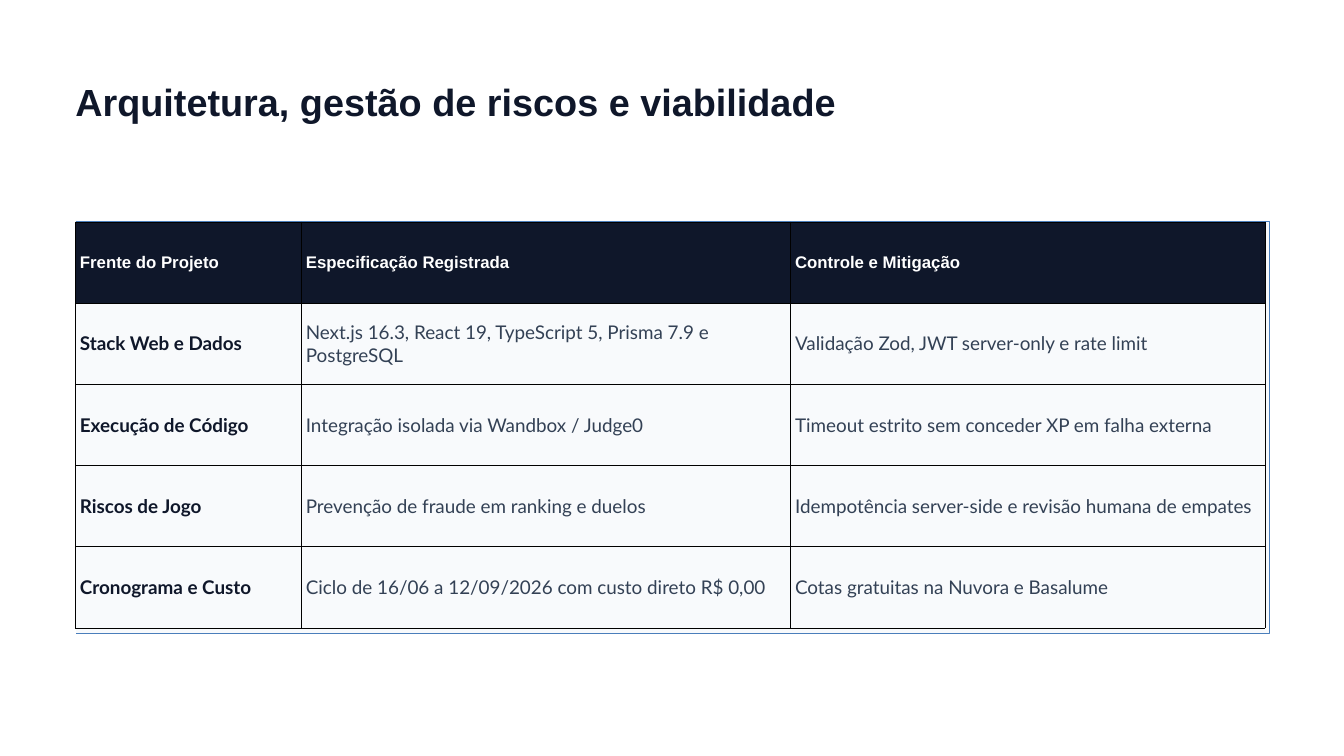
import pptx
import pptx.dml.color
import pptx.enum.text
import pptx.oxml
import pptx.oxml.ns
import pptx.util

Pt = pptx.util.Pt

HUES = {
    "navy": "0F172A",
    "slate": "334155",
    "pale": "F8FAFC",
    "white": "FFFFFF",
    "blue": "4A7EBB",
    "black": "000000",
}

LEFT = 80.64
COLS = [242.1, 524.2, 508.5]
ROW = 87
ROWS = [
    ["Frente do Projeto", "Especificação Registrada", "Controle e Mitigação"],
    ["Stack Web e Dados",
     "Next.js 16.3, React 19, TypeScript 5, Prisma 7.9 e PostgreSQL",
     "Validação Zod, JWT server-only e rate limit"],
    ["Execução de Código", "Integração isolada via Wandbox / Judge0",
     "Timeout estrito sem conceder XP em falha externa"],
    ["Riscos de Jogo", "Prevenção de fraude em ranking e duelos",
     "Idempotência server-side e revisão humana de empates"],
    ["Cronograma e Custo",
     "Ciclo de 16/06 a 12/09/2026 com custo direto R$ 0,00",
     "Cotas gratuitas na Nuvora e Basalume"],
]


def tint(name):
    return pptx.dml.color.RGBColor.from_string(HUES[name])


def paint(fill, name):
    fill.solid()
    fill.fore_color.rgb = tint(name)


def write(frame, text, face, size, hue, bold, pitch):
    frame.text = text
    line = frame.paragraphs[0]
    line.line_spacing = Pt(pitch)
    font = line.runs[0].font
    font.name, font.size, font.bold = face, Pt(size), bold
    font.color.rgb = tint(hue)


def add_title(slide, text):
    box = slide.shapes.add_textbox(Pt(LEFT), Pt(84.3), Pt(1359.36), Pt(53.2))
    frame = box.text_frame
    frame.word_wrap = True
    frame.margin_left = frame.margin_right = 0
    frame.margin_top = frame.margin_bottom = 0
    write(frame, text, "Arial", 40.5, "navy", True, 48.6)


def add_panel(slide):
    # Open outline: the left side has no line
    left, top, right, base = LEFT, 236.9, 1359.7, 679
    pen = slide.shapes.build_freeform(left, top, scale=Pt(1))
    pen.add_line_segments([(right, top), (right, base), (left, base)], close=False)
    panel = pen.convert_to_shape()
    panel.shadow.inherit = False
    paint(panel.fill, "pale")
    panel.line.color.rgb = tint("blue")
    panel.line.width = Pt(1.13)


def add_edges(cell):
    props = cell._tc.get_or_add_tcPr()
    space = pptx.oxml.ns.nsdecls("a")
    for spot, side in enumerate(("lnL", "lnR", "lnT", "lnB")):
        edge = pptx.oxml.parse_xml(
            f'<a:{side} {space} w="{Pt(0.37)}"><a:solidFill>'
            f'<a:srgbClr val="{HUES["black"]}"/></a:solidFill></a:{side}>')
        props.insert(spot, edge)


def fill_cell(cell, text, head, first):
    cell.vertical_anchor = pptx.enum.text.MSO_ANCHOR.MIDDLE
    cell.margin_left = cell.margin_right = Pt(5)
    cell.margin_top = cell.margin_bottom = Pt(5)
    paint(cell.fill, "navy" if head else "pale")
    add_edges(cell)
    if head:
        write(cell.text_frame, text, "Arial", 18, "white", True, 21.6)
    else:
        hue = "navy" if first else "slate"
        write(cell.text_frame, text, "Lato", 20.2, hue, first, 24.3)


def add_grid(slide):
    frame = slide.shapes.add_table(
        len(ROWS), len(COLS), Pt(LEFT), Pt(237.6), Pt(sum(COLS)), Pt(ROW * len(ROWS)))
    table = frame.table
    for col, width in zip(table.columns, COLS):
        col.width = Pt(width)
    for r, texts in enumerate(ROWS):
        table.rows[r].height = Pt(ROW)
        for c, text in enumerate(texts):
            fill_cell(table.cell(r, c), text, r == 0, c == 0)


def main():
    deck = pptx.Presentation()
    deck.slide_width, deck.slide_height = Pt(1440), Pt(810)
    slide = deck.slides.add_slide(deck.slide_layouts[6])
    paint(slide.background.fill, "white")

    # Panel behind the table
    add_panel(slide)
    # Table of project fronts
    add_grid(slide)
    # Title
    add_title(slide, "Arquitetura, gestão de riscos e viabilidade")

    deck.save("out.pptx")


if __name__ == "__main__":
    main()
